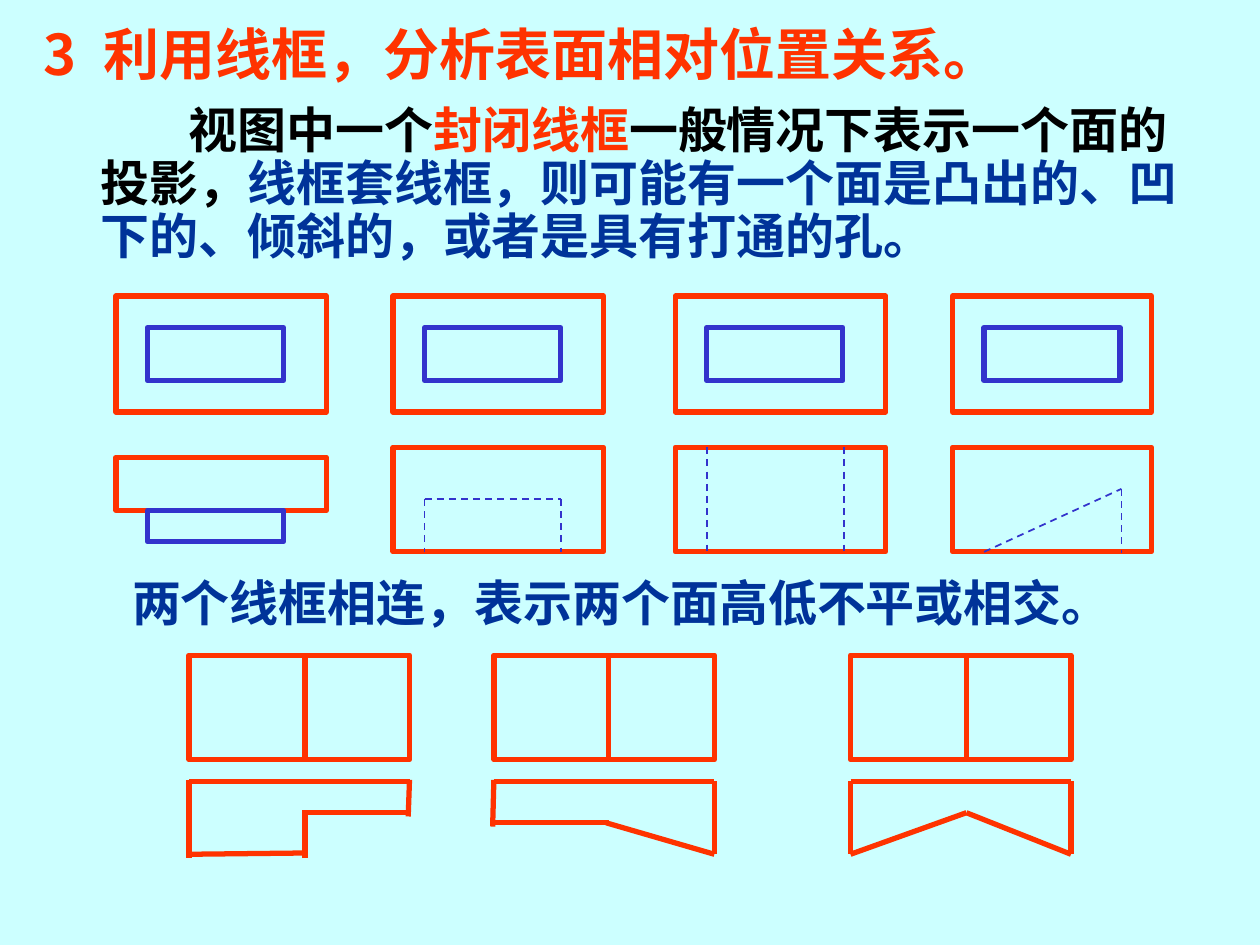
"""Build a slide on reading the relative position of surfaces from closed line frames."""
from lxml.etree import SubElement
from pptx import Presentation
from pptx.dml.color import RGBColor
from pptx.enum.dml import MSO_LINE_DASH_STYLE as Dash
from pptx.enum.shapes import MSO_CONNECTOR as Connector, MSO_SHAPE as Shape
from pptx.enum.text import MSO_ANCHOR as Anchor
from pptx.oxml.ns import qn
from pptx.util import Inches, Pt

BACKGROUND = RGBColor(0xCC, 0xFF, 0xFF)
RED = RGBColor(0xFF, 0x33, 0x00)
BLUE = RGBColor(0x33, 0x33, 0xCC)
NAVY = RGBColor(0x00, 0x33, 0x99)
BLACK = RGBColor(0x00, 0x00, 0x00)
CJK_FONT = "Noto Sans CJK SC"
LATIN_FONT = "Times New Roman"

NESTED_FRAMES = [(0.92, 1.67), (3.12, 1.67), (5.36, 1.67), (7.56, 1.58)]
INSET = 0.25
INNER_WIDTH = 1.08
HIDDEN_EDGES = [
    (3.37, 3.96, 4.45, 3.96), (4.45, 3.96, 4.45, 4.38), (3.37, 3.96, 3.37, 4.38),
    (5.61, 3.55, 5.61, 4.38), (6.7, 3.55, 6.7, 4.38),
    (7.81, 4.38, 8.9, 3.88), (8.9, 3.88, 8.9, 4.39),
]
JOINED_FRAMES = [(1.5, 2.42), (3.92, 4.83), (6.75, 7.67)]
JOINED_WIDTH = 1.75
STEP_PROFILE = [
    (1.5, 6.19, 1.5, 6.81), (1.5, 6.78, 2.43, 6.77), (2.42, 6.81, 2.42, 6.43),
    (2.42, 6.45, 3.25, 6.45), (3.24, 6.48, 3.25, 6.19),
]
SLOPE_PROFILE = [
    (3.92, 6.53, 4.83, 6.53), (5.67, 6.2, 5.67, 6.78),
    (4.81, 6.53, 5.67, 6.78), (3.92, 6.19, 3.91, 6.56),
]
RIDGE_PROFILE = [
    (8.5, 6.2, 8.5, 6.78), (8.5, 6.78, 7.67, 6.45),
    (7.67, 6.45, 6.75, 6.78), (6.75, 6.2, 6.75, 6.78),
]


def add_frame(s, left, top, width, height, color):
    """Add an unfilled rectangle."""
    sp = s.shapes.add_shape(
        Shape.RECTANGLE, Inches(left), Inches(top), Inches(width), Inches(height))
    sp.shadow.inherit = False
    sp.fill.background()
    sp.line.color.rgb = color
    sp.line.width = Pt(3)


def add_edge(s, x1, y1, x2, y2, hidden=False):
    """Add a solid red edge, or a thin dashed blue one if it is hidden."""
    edge = s.shapes.add_connector(
        Connector.STRAIGHT, Inches(x1), Inches(y1), Inches(x2), Inches(y2))
    SubElement(edge._element.spPr, qn("a:effectLst"))
    edge.line.color.rgb = BLUE if hidden else RED
    edge.line.width = Pt(1 if hidden else 3)
    if hidden:
        edge.line.dash_style = Dash.DASH


def add_text(s, left, top, width, height, size, runs, font=LATIN_FONT, wrap=True):
    """Add a bold one-paragraph text box and return its paragraph."""
    box = s.shapes.add_textbox(Inches(left), Inches(top), Inches(width), Inches(height))
    tf = box.text_frame
    tf.word_wrap = wrap
    tf.vertical_anchor = Anchor.MIDDLE
    p = tf.paragraphs[0]
    for text, color in runs:
        r = p.add_run()
        r.text = text
        r.font.size = Pt(size)
        r.font.bold = True
        r.font.color.rgb = color
        r.font.name = font
        SubElement(r._r.get_or_add_rPr(), qn("a:ea"), typeface=CJK_FONT)
    return p


def add_texts(s):
    """Add the heading and the two statements."""
    p = add_text(s, 0.25, 0.1, 8.45, 0.64, 32,
                 [("3\t利用线框，分析表面相对位置关系。", RED)], CJK_FONT)
    tabs = SubElement(p._p.get_or_add_pPr(), qn("a:tabLst"))
    SubElement(tabs, qn("a:tab"), pos=str(Inches(0.47)), algn="l")

    p = add_text(s, 0.7, 0.79, 8.8, 1.36, 28, [
        ("视图中一个", BLACK),
        ("封闭线框", RED),
        ("一般情况下表示一个面的投影，", BLACK),
        ("线框套线框，则可能有一个面是凸出的、凹下的、倾斜的，或者是具有打通的孔。", NAVY),
    ])
    p.line_spacing = 0.9
    p._p.get_or_add_pPr().set("indent", str(Inches(0.7)))

    add_text(s, 0.95, 4.49, 7.96, 0.57, 28,
             [("两个线框相连，表示两个面高低不平或相交。", NAVY)], wrap=False)


def add_nested_views(s):
    """Add the frames within frames and the views below them."""
    for left, width in NESTED_FRAMES:
        add_frame(s, left, 2.35, width, 0.92, RED)
        add_frame(s, left + INSET, 2.6, INNER_WIDTH, 0.42, BLUE)
    (boss_left, boss_width), *others = NESTED_FRAMES
    add_frame(s, boss_left, 3.63, boss_width, 0.42, RED)
    add_frame(s, boss_left + INSET, 4.05, INNER_WIDTH, 0.25, BLUE)
    for left, width in others:
        add_frame(s, left, 3.55, width, 0.83, RED)
    for edge in HIDDEN_EDGES:
        add_edge(s, *edge, hidden=True)


def add_joined_views(s):
    """Add the divided frames and the profiles below them."""
    for left, middle in JOINED_FRAMES:
        add_frame(s, left, 5.2, JOINED_WIDTH, 0.83, RED)
        add_edge(s, middle, 5.2, middle, 6.03)
        add_edge(s, left, 6.2, left + JOINED_WIDTH, 6.2)
    for edge in STEP_PROFILE + SLOPE_PROFILE + RIDGE_PROFILE:
        add_edge(s, *edge)


def main():
    """Build and save the slide."""
    prs = Presentation()
    prs.slide_width, prs.slide_height = Inches(10), Inches(7.5)
    s = prs.slides.add_slide(prs.slide_layouts[6])
    s.background.fill.solid()
    s.background.fill.fore_color.rgb = BACKGROUND
    add_nested_views(s)
    add_joined_views(s)
    add_texts(s)
    prs.save("out.pptx")


if __name__ == "__main__":
    main()
